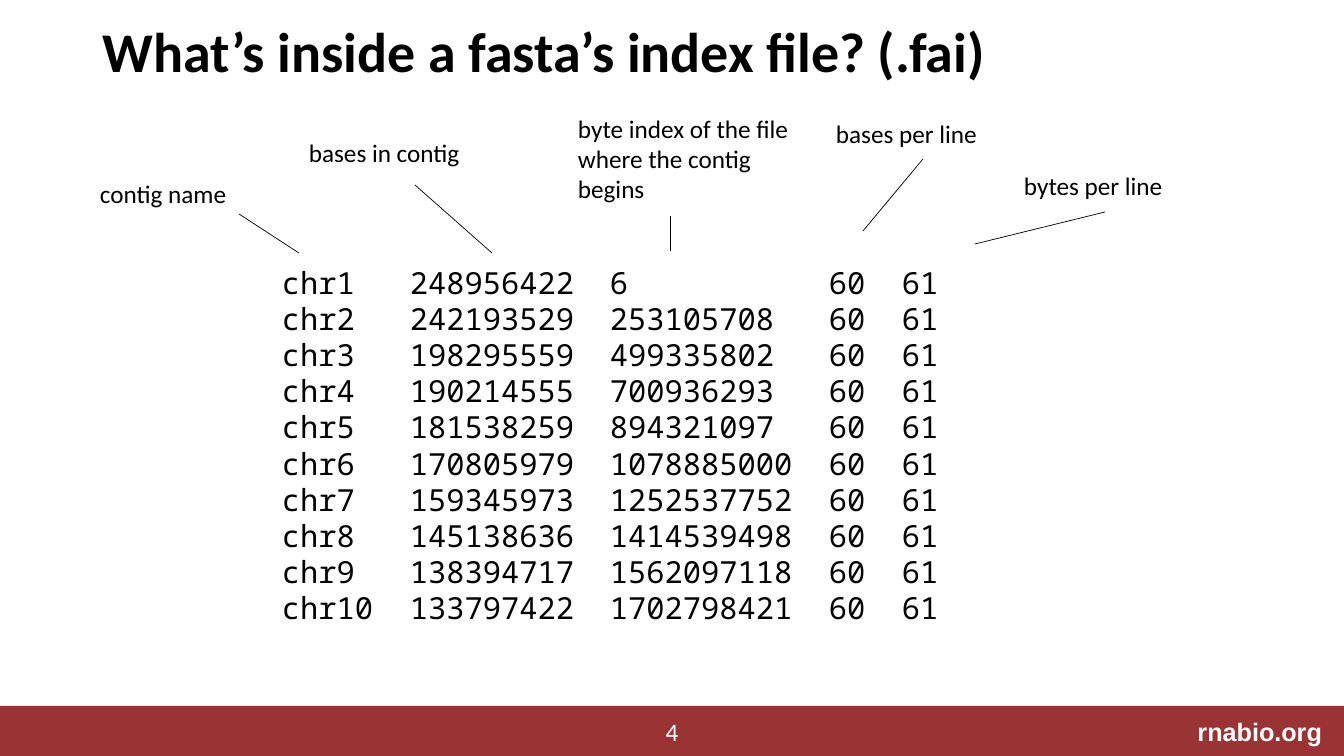
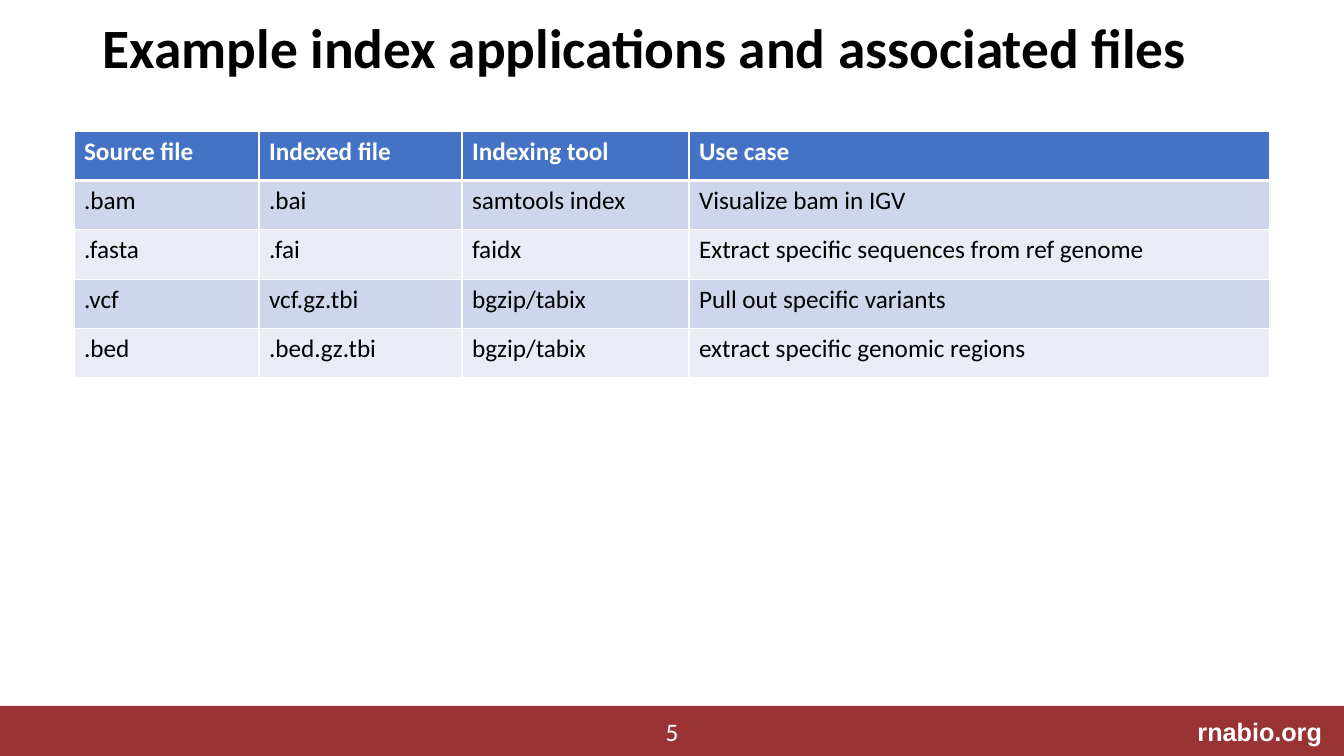
import dataclasses

import lxml.etree
import pptx
import pptx.dml.color
import pptx.enum.shapes
import pptx.enum.text
import pptx.oxml.ns
import pptx.util

RGB = pptx.dml.color.RGBColor.from_string
ALIGN = pptx.enum.text.PP_ALIGN
ANCHOR = pptx.enum.text.MSO_ANCHOR
QN = pptx.oxml.ns.qn
PX = 914400 / 100.8  # EMU in one px


@dataclasses.dataclass(frozen=True)
class Theme:
    ink: str = "000000"
    paper: str = "FFFFFF"
    band: str = "9A3334"
    header: str = "4472C4"
    stripes: tuple = ("CFD5EA", "E9EBF5")
    sans: str = "Calibri"
    footer_font: str = "Arial"
    mono: str = "Noto Sans Mono"
    body_size: float = 18
    listing_size: float = 21.7


theme = Theme()


def px(*lengths):
    return [pptx.util.Emu(round(length * PX)) for length in lengths]


def write(para, text, size=theme.body_size, font=theme.sans, color=theme.ink, bold=False):
    """Add one styled run to a paragraph."""
    span = para.add_run()
    span.text = text
    span.font.size = pptx.util.Pt(size)
    span.font.name = font
    span.font.bold = bold
    span.font.color.rgb = RGB(color)


deck = pptx.Presentation()
deck.slide_width, deck.slide_height = px(1344, 756)

# Band, footer and title on every page
titles = [
    (4, "What’s inside a fasta’s index file? (.fai)", 11, 86, 40),
    (5, "Example index applications and associated files", 10, 82, 39.6),
]
pages = []
for number, title, top, height, size in titles:
    page = deck.slides.add_slide(deck.slide_layouts[6])
    pages.append(page)

    band = page.shapes.add_shape(
        pptx.enum.shapes.MSO_SHAPE.RECTANGLE, *px(0, 706, 1344, 50))
    band.shadow.inherit = False
    band.fill.solid()
    band.fill.fore_color.rgb = RGB(theme.band)
    band.line.fill.background()

    box = page.shapes.add_textbox(*px(1072, 711, 260, 40))
    box.text_frame.word_wrap = True
    para = box.text_frame.paragraphs[0]
    para.alignment = ALIGN.RIGHT
    write(para, "rnabio.org", font=theme.footer_font, color=theme.paper, bold=True)

    box = page.shapes.add_textbox(*px(647, 711, 50, 40))
    box.text_frame.vertical_anchor = ANCHOR.MIDDLE
    para = box.text_frame.paragraphs[0]
    para.alignment = ALIGN.CENTER
    write(para, str(number), color=theme.paper)

    box = page.shapes.add_textbox(*px(93, top, 1159, height))
    box.text_frame.word_wrap = True
    box.text_frame.vertical_anchor = ANCHOR.MIDDLE
    para = box.text_frame.paragraphs[0]
    para.line_spacing = 0.9
    write(para, title, size=size, bold=True)

index_page, files_page = pages

# Index listing, with its columns on tab stops
contigs = [
    (248956422, 6),
    (242193529, 253105708),
    (198295559, 499335802),
    (190214555, 700936293),
    (181538259, 894321097),
    (170805979, 1078885000),
    (159345973, 1252537752),
    (145138636, 1414539498),
    (138394717, 1562097118),
    (133797422, 1702798421),
]
box = index_page.shapes.add_textbox(*px(272, 269, 719, 425))
frame = box.text_frame
frame.word_wrap = True
for row, (bases, offset) in enumerate(contigs):
    para = frame.add_paragraph() if row else frame.paragraphs[0]
    para.line_spacing = 0.7
    if row:
        para.space_before = pptx.util.Pt(7.6)
    tabs = lxml.etree.SubElement(para._p.get_or_add_pPr(), QN("a:tabLst"))
    for stop in px(128, 328, 547, 620):
        lxml.etree.SubElement(tabs, QN("a:tab"), pos=str(stop), algn="l")
    write(para, f"chr{row + 1}\t{bases}\t{offset}\t60\t61",
          size=theme.listing_size, font=theme.mono)

# Column labels: text, box, pointer from and to
labels = [
    ("contig name", (90, 173, 178, 40), (239, 214, 299, 253)),
    ("bases in contig", (299, 132, 212, 40), (415, 185, 492, 253)),
    ("byte index of the file where the contig begins",
     (568, 108, 238, 102), (670, 216, 670, 251)),
    ("bases per line", (826, 113, 238, 40), (923, 159, 863, 231)),
    ("bytes per line", (1014, 165, 238, 40), (1105, 212, 975, 244)),
]
for text, area, ends in labels:
    box = index_page.shapes.add_textbox(*px(*area))
    box.text_frame.word_wrap = True
    write(box.text_frame.paragraphs[0], text)
    pointer = index_page.shapes.add_connector(
        pptx.enum.shapes.MSO_CONNECTOR.STRAIGHT, *px(*ends))
    pointer.line.color.rgb = RGB(theme.ink)
    pointer.line.width = pptx.util.Pt(0.5)
    lxml.etree.SubElement(pointer._element.spPr, QN("a:effectLst"))

# Table of index files
rows = [
    ("Source file", "Indexed file", "Indexing tool", "Use case"),
    (".bam", ".bai", "samtools index", "Visualize bam in IGV"),
    (".fasta", ".fai", "faidx", "Extract specific sequences from ref genome"),
    (".vcf", "vcf.gz.tbi", "bgzip/tabix", "Pull out specific variants"),
    (".bed", ".bed.gz.tbi", "bgzip/tabix", "extract specific genomic regions"),
]
widths = px(185, 203, 227, 581)
table = files_page.shapes.add_table(
    len(rows), len(widths), *px(74, 131, 1196, 247)).table
table.horz_banding = False
for column, width in zip(table.columns, widths):
    column.width = width
for r, texts in enumerate(rows):
    is_header = r == 0
    fill = theme.header if is_header else theme.stripes[(r - 1) % 2]
    borders = {"lnL": 1, "lnR": 1, "lnT": 3 if r == 1 else 1, "lnB": 3 if is_header else 1}
    for c, text in enumerate(texts):
        cell = table.cell(r, c)
        properties = cell._tc.get_or_add_tcPr()
        for side, weight in borders.items():
            edge = lxml.etree.SubElement(
                properties, QN(f"a:{side}"), w=str(pptx.util.Pt(weight)))
            paint = lxml.etree.SubElement(edge, QN("a:solidFill"))
            lxml.etree.SubElement(paint, QN("a:srgbClr"), val=theme.paper)
        cell.fill.solid()
        cell.fill.fore_color.rgb = RGB(fill)
        write(cell.text_frame.paragraphs[0], text,
              color=theme.paper if is_header else theme.ink, bold=is_header)

deck.save("out.pptx")
